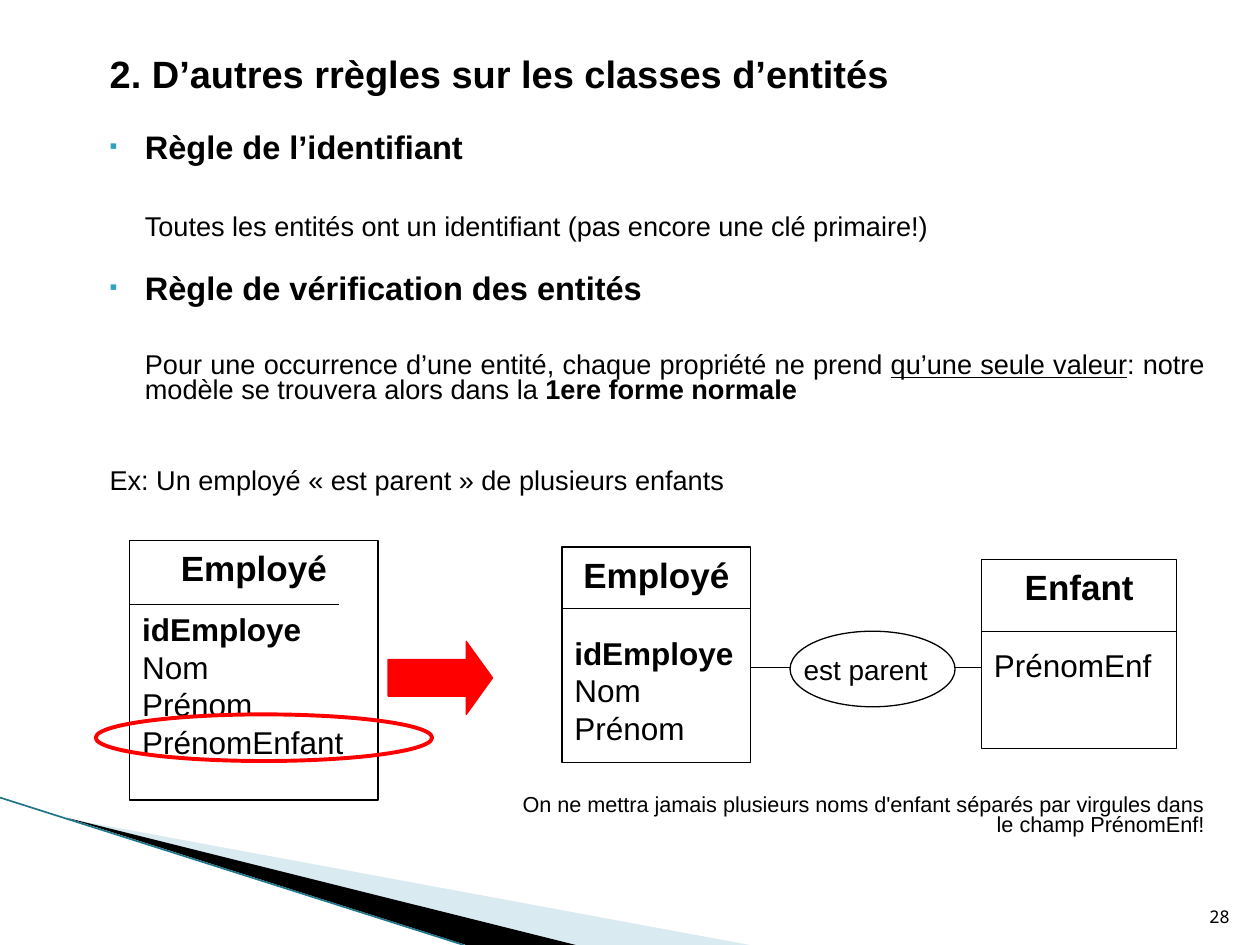
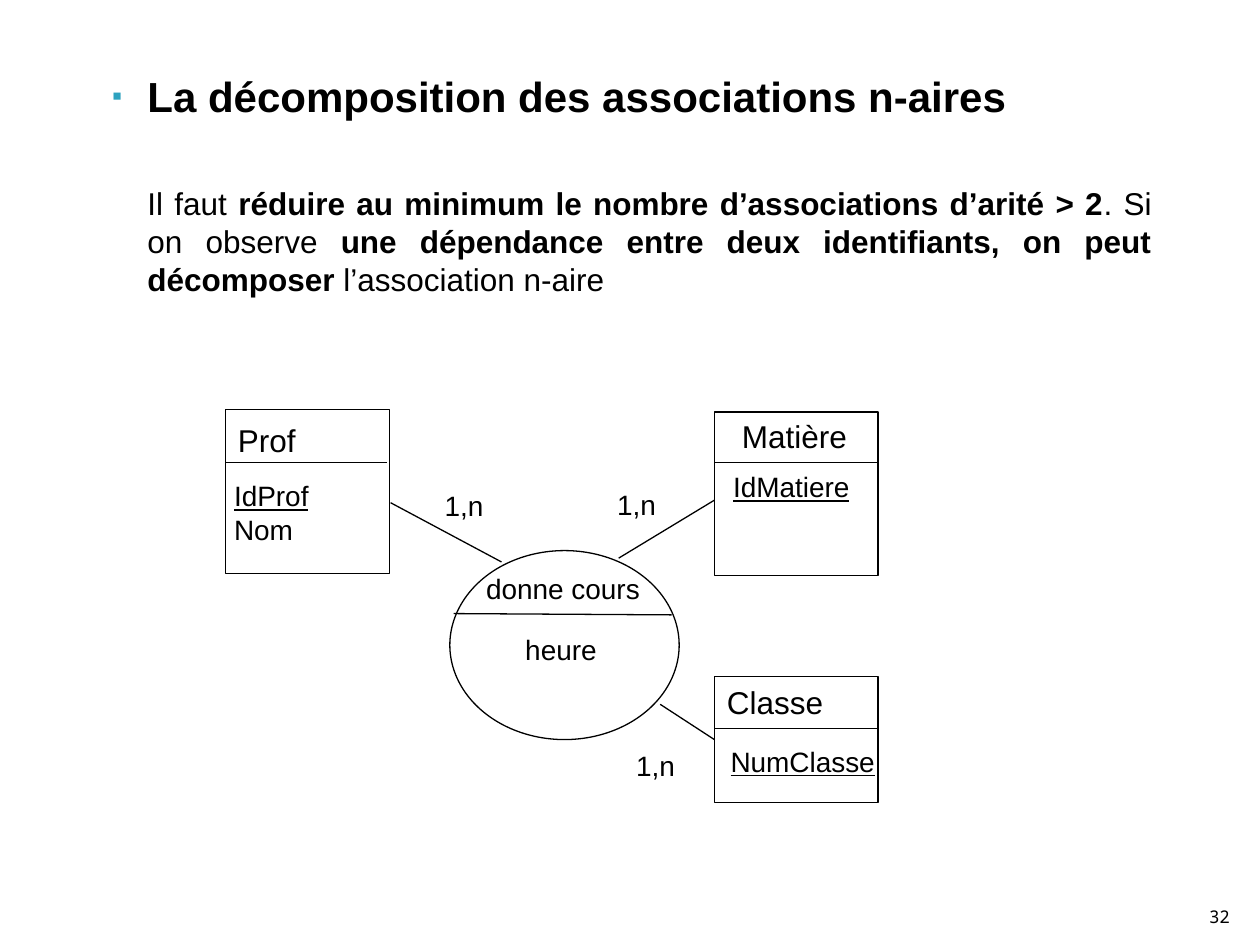
from dataclasses import dataclass

from lxml import etree
from pptx import Presentation
from pptx.dml.color import RGBColor
from pptx.enum import shapes, text
from pptx.oxml import ns
from pptx.util import Inches, Pt


@dataclass(frozen=True)
class Theme:
    font: str = "Arial"
    number_font: str = "Noto Sans Mono"
    ink: str = "000000"
    paper: str = "FFFFFF"
    accent: str = "FF0000"
    bullet: str = "2DA2BF"
    band: str = "A0CBDC"
    band_edge: str = "1F7589"
    section: float = 21.7
    rule: float = 18.6
    detail: float = 15.5
    remark: float = 12.4
    heading: float = 24
    entity: float = 20
    body: float = 18
    label: float = 16
    number: float = 10
    hairline: float = 0.75
    thick: float = 2.25


THEME = Theme()
ALIGN = text.PP_ALIGN
ANCHOR = text.MSO_ANCHOR
SHAPE = shapes.MSO_SHAPE
BOLD = {"bold": True}
UNDERLINE = {"underline": True}


def apply(target, formats):
    for name, value in formats.items():
        setattr(target, name, value)


def lengths(frame):
    return [Inches(value) for value in frame]


def add_spans(para, spans, size, **formats):
    """Add runs to para; spans is a string or a list of (wording, formats)."""
    if isinstance(spans, str):
        spans = [(spans, {})]
    for wording, extra in spans:
        span = para.add_run()
        span.text = wording
        apply(span.font, {"name": THEME.font, "size": Pt(size), "bold": False, **formats, **extra})
        span.font.color.rgb = RGBColor.from_string(THEME.ink)


def set_bullet(para, left, hanging=0.0, shown=False):
    """Set the indents and show or suppress the square bullet."""
    properties = para._p.get_or_add_pPr()
    properties.set("marL", str(Inches(left)))
    properties.set("indent", str(-Inches(hanging)))
    if not shown:
        etree.SubElement(properties, ns.qn("a:buNone"))
        return
    colour = etree.SubElement(properties, ns.qn("a:buClr"))
    etree.SubElement(colour, ns.qn("a:srgbClr"), val=THEME.bullet)
    etree.SubElement(properties, ns.qn("a:buSzPct"), val="68000")
    etree.SubElement(properties, ns.qn("a:buFont"), typeface=THEME.font)
    etree.SubElement(properties, ns.qn("a:buChar"), char="▪")


def place(holder, frame):
    apply(holder, dict(zip(("left", "top", "width", "height"), lengths(frame))))
    apply(holder.text_frame, {"word_wrap": True, "vertical_anchor": ANCHOR.TOP,
                              "auto_size": text.MSO_AUTO_SIZE.NONE})
    return holder.text_frame


def set_title(page, frame, wording, size, bulleted=False):
    para = place(page.shapes.title, frame).paragraphs[0]
    apply(para, {"alignment": ALIGN.LEFT, "line_spacing": 1.0})
    set_bullet(para, 0.4 if bulleted else 0.12, 0.28 if bulleted else 0, bulleted)
    add_spans(para, wording, size, bold=True)


def set_body(page, frame, items, spacing):
    """Fill the body; each item is (spans, size, space before, indent, bulleted)."""
    box = place(page.placeholders[1], frame)
    for index, (spans, size, before, indent, bulleted) in enumerate(items):
        para = box.add_paragraph() if index else box.paragraphs[0]
        apply(para, {"alignment": ALIGN.JUSTIFY, "line_spacing": spacing,
                     "space_before": Pt(before)})
        set_bullet(para, indent, 0.28 if bulleted else 0, bulleted)
        add_spans(para, spans, size)


def add_text(page, frame, lines, size, align=ALIGN.LEFT, anchor=ANCHOR.TOP,
             wrap=False, spacing=1.0, **formats):
    box = page.shapes.add_textbox(*lengths(frame)).text_frame
    apply(box, {"word_wrap": wrap, "vertical_anchor": anchor})
    if not wrap:
        box.auto_size = text.MSO_AUTO_SIZE.SHAPE_TO_FIT_TEXT
    for index, spans in enumerate(lines):
        para = box.add_paragraph() if index else box.paragraphs[0]
        apply(para, {"alignment": align, "line_spacing": spacing})
        add_spans(para, spans, size, **formats)


def add_number(page, number):
    add_text(page, (9.46, 7.01, 0.4, 0.4), [number], THEME.number, ALIGN.RIGHT,
             ANCHOR.BOTTOM, wrap=True, name=THEME.number_font)


def paint(shape, fill, line, width=THEME.hairline):
    shape.shadow.inherit = False
    if fill:
        shape.fill.solid()
        shape.fill.fore_color.rgb = RGBColor.from_string(fill)
    else:
        shape.fill.background()
    if line:
        shape.line.color.rgb = RGBColor.from_string(line)
        shape.line.width = Pt(width)
    else:
        shape.line.fill.background()


def add_figure(page, kind, frame, fill=THEME.paper, line=THEME.ink, width=THEME.hairline):
    shape = page.shapes.add_shape(kind, *lengths(frame))
    paint(shape, fill, line, width)
    return shape


def add_line(page, ends, colour=THEME.ink, width=THEME.hairline):
    line = page.shapes.add_connector(shapes.MSO_CONNECTOR.STRAIGHT, *lengths(ends))
    line.line.color.rgb = RGBColor.from_string(colour)
    line.line.width = Pt(width)
    etree.SubElement(line._element.spPr, ns.qn("a:effectLst"))


def add_entity(page, frame, divider, divider_width=None):
    """Draw an entity box with a line under its name, at height divider."""
    left, _, width, _ = frame
    shape = add_figure(page, SHAPE.RECTANGLE, frame)
    add_line(page, (left, divider, left + (divider_width or width), divider))
    return shape


def fill_entity(shape, name, attributes, gap=22):
    """Write the entity name and its attributes, gap points below the name."""
    box = shape.text_frame
    apply(box, {"vertical_anchor": ANCHOR.TOP, "word_wrap": True})
    title = box.paragraphs[0]
    title.alignment = ALIGN.CENTER
    add_spans(title, name, THEME.entity, bold=True)
    for index, attribute in enumerate(attributes):
        para = box.add_paragraph()
        apply(para, {"alignment": ALIGN.LEFT, "space_before": Pt(0 if index else gap)})
        add_spans(para, attribute, THEME.body, bold=attribute.startswith("id"))


def add_wedge(page, points, colour, opacity=100):
    corners = [tuple(lengths(point)) for point in points]
    builder = page.shapes.build_freeform(*corners[0], scale=1.0)
    builder.add_line_segments(corners[1:], close=True)
    wedge = builder.convert_to_shape()
    paint(wedge, colour, None)
    tint = wedge._element.spPr.find(".//" + ns.qn("a:srgbClr"))
    etree.SubElement(tint, ns.qn("a:alpha"), val=str(opacity * 1000))


def add_corner_band(page):
    add_wedge(page, [(0.55, 6.5), (5.95, 7.5), (4.56, 7.5)], THEME.band, 40)
    add_wedge(page, [(0.53, 6.49), (4.57, 7.5), (3.7, 7.5)], THEME.ink)
    add_line(page, (0, 6.33, 3.68, 7.5), THEME.band_edge, 0.95)


def build_entity_rules(page):
    add_corner_band(page)
    set_title(page, (0.65, 0.35, 9.01, 0.5), "2. D’autres rrègles sur les classes d’entités",
              THEME.section)
    set_body(page, (0.65, 1.02, 9.01, 3.1), [
        ([("Règle de l’identifiant", BOLD)], THEME.rule, 0, 0.4, True),
        ("Toutes les entités ont un identifiant (pas encore une clé primaire!)",
         THEME.detail, 29, 0.4, False),
        ([("Règle de vérification des entités", BOLD)], THEME.rule, 20, 0.4, True),
        ([("Pour une occurrence d’une entité, chaque propriété ne prend ", {}),
          ("qu’une seule valeur", UNDERLINE),
          (": notre modèle se trouvera alors dans la ", {}),
          ("1ere forme normale", BOLD)], THEME.detail, 27, 0.4, False),
        ("Ex: Un employé « est parent » de plusieurs enfants", THEME.detail, 37, 0.12, False),
    ], 0.78)
    add_text(page, (4, 6.27, 5.66, 0.45),
             ["On ne mettra jamais plusieurs noms d'enfant séparés par virgules "
              "dans le champ PrénomEnf!"],
             THEME.remark, ALIGN.RIGHT, wrap=True, spacing=0.78)

    crowded = add_entity(page, (1.03, 4.29, 1.97, 2.06), 4.8, 1.66)
    fill_entity(crowded, "Employé", ["idEmploye", "Nom", "Prénom", "PrénomEnfant"], 12)
    employee = add_entity(page, (4.46, 4.34, 1.5, 1.71), 4.83)
    fill_entity(employee, "Employé", ["idEmploye", "Nom", "Prénom"])
    child = add_entity(page, (7.79, 4.44, 1.55, 1.5), 5.01)
    fill_entity(child, "Enfant", ["PrénomEnf"])

    add_line(page, (5.96, 5.3, 7.79, 5.3))
    arrow = add_figure(page, SHAPE.RIGHT_ARROW, (3.08, 5.09, 0.83, 0.58),
                       THEME.accent, THEME.accent)
    arrow.adjustments[1] = 0.36
    add_figure(page, SHAPE.OVAL, (6.27, 5.01, 1.31, 0.6))
    add_figure(page, SHAPE.OVAL, (0.76, 5.67, 2.67, 0.37), None, THEME.accent, THEME.thick)
    add_text(page, (6.28, 5.13, 1.2, 0.37), ["est parent"], THEME.label)
    add_number(page, "28")


def build_decomposition(page):
    set_title(page, (0.67, 0.51, 8.57, 0.55), "La décomposition des associations n-aires",
              THEME.heading, bulleted=True)
    set_body(page, (0.67, 1.41, 8.57, 1.1), [
        ([("Il faut ", {}),
          ("réduire au minimum le nombre d’associations d’arité > 2", BOLD),
          (". Si on observe ", {}),
          ("une dépendance entre deux identifiants, on peut décomposer ", BOLD),
          ("l’association n-aire", {})], THEME.body, 0, 0.4, False),
    ], 1.0)

    add_entity(page, (1.79, 3.25, 1.3, 1.3), 3.67, 1.28)
    add_entity(page, (5.67, 3.27, 1.3, 1.3), 3.67)
    add_entity(page, (5.67, 5.37, 1.3, 1), 5.78)
    add_figure(page, SHAPE.OVAL, (3.57, 4.37, 1.82, 1.5))
    for ends in ((3.6, 4.87, 5.33, 4.88), (3.1, 3.99, 3.98, 4.46),
                 (4.91, 4.43, 5.67, 3.97), (5.24, 5.59, 5.67, 5.87)):
        add_line(page, ends)

    for name, left, top, width in (("Prof", 1.79, 3.29, 0.66), ("Matière", 5.79, 3.26, 1.04),
                                   ("Classe", 5.67, 5.37, 0.98)):
        add_text(page, (left, top, width, 0.4), [name], THEME.body)
    add_text(page, (1.76, 3.75, 0.8, 0.64), [[("IdProf", UNDERLINE)], "Nom"], THEME.label)
    for key, left, top, width in (("IdMatiere", 5.72, 3.68, 1.14),
                                  ("NumClasse", 5.7, 5.86, 1.36)):
        add_text(page, (left, top, width, 0.37), [[(key, UNDERLINE)]], THEME.label)
    for wording, left, top, width in (("donne cours", 3.76, 4.49, 1.43),
                                      ("heure", 4.07, 4.97, 0.78)):
        add_text(page, (left, top, width, 0.37), [wording], THEME.label)
    for left, top in ((3.43, 3.83), (4.8, 3.82), (4.95, 5.89)):
        add_text(page, (left, top, 0.51, 0.37), ["1,n"], THEME.label)
    add_number(page, "32")


def main():
    deck = Presentation()
    deck.slide_width, deck.slide_height = lengths((10, 7.5))
    for build in (build_entity_rules, build_decomposition):
        build(deck.slides.add_slide(deck.slide_layouts[1]))
    deck.save("out.pptx")


if __name__ == "__main__":
    main()
